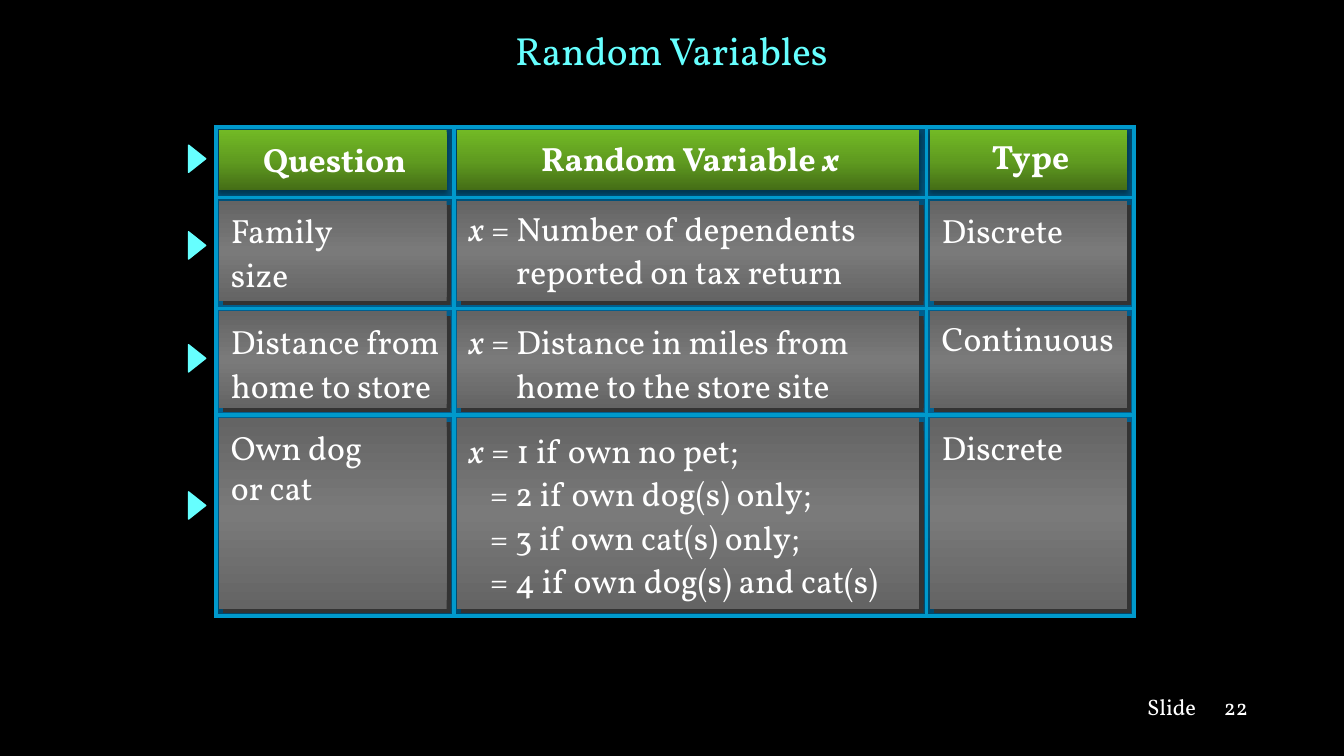
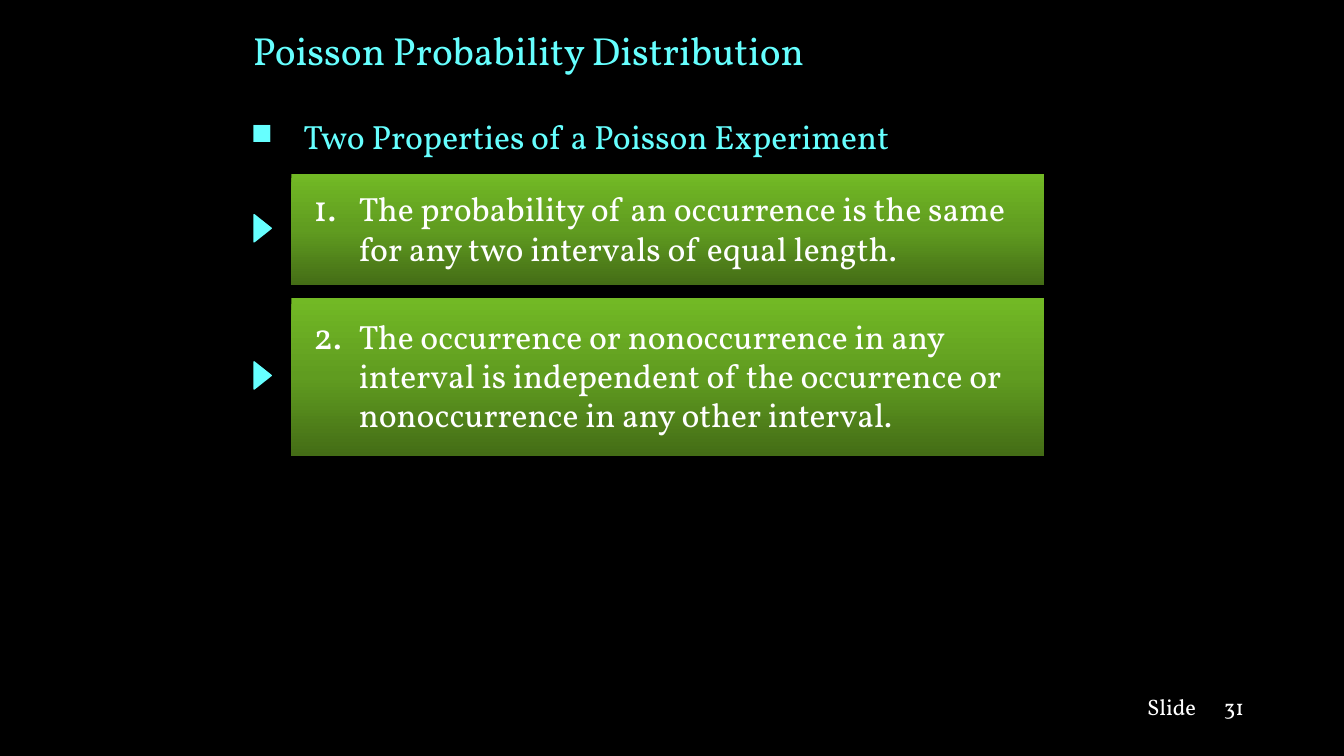
import itertools

import lxml.etree
import pptx
import pptx.dml.color
import pptx.enum.shapes
import pptx.enum.text
import pptx.oxml.ns
import pptx.util

Inches = pptx.util.Inches
Pt = pptx.util.Pt
RGBColor = pptx.dml.color.RGBColor
Align = pptx.enum.text.PP_ALIGN
Anchor = pptx.enum.text.MSO_ANCHOR
Shapes = pptx.enum.shapes.MSO_SHAPE
qn = pptx.oxml.ns.qn

# Shared look
FONT = "Vollkorn"
BLACK = RGBColor(0x00, 0x00, 0x00)
WHITE = RGBColor(0xFF, 0xFF, 0xFF)
CYAN = RGBColor(0x66, 0xFF, 0xFF)
GRID_BLUE = RGBColor(0x00, 0x99, 0xCC)
NAVY = RGBColor(0x00, 0x49, 0x6D)
BLUE = RGBColor(0x00, 0x66, 0x99)
DARK_GRAY = RGBColor(0x64, 0x64, 0x64)
GRAY = RGBColor(0x7A, 0x7A, 0x7A)
SHADOW_GRAY = RGBColor(0x33, 0x33, 0x33)
LIGHT_GREEN = RGBColor(0x72, 0xB9, 0x25)
GREEN = RGBColor(0x60, 0x9C, 0x20)
DARK_GREEN = RGBColor(0x44, 0x6D, 0x16)

# Gradients run from top to bottom
PANEL_FILL = (NAVY, BLUE, NAVY)
GRAY_FILL = (DARK_GRAY, GRAY, DARK_GRAY)
GREEN_FILL = (LIGHT_GREEN, GREEN, DARK_GREEN)

# Shadows: colour, opacity in percent, blur and distance in points, direction
GRAY_SHADOW = (SHADOW_GRAY, 100, 0, 4.2, 45)
GREEN_SHADOW = (BLACK, 32, 3.5, 2.2, 90)
MARKER_SHADOW = (BLACK, 100, 0, 1.4, 45)

# Table grid
COLUMN_EDGES = (2.14, 4.5, 9.19, 11.25)
ROW_EDGES = (1.26, 1.96, 3.06, 4.12, 6.11)
TILE_OFFSET = 0.03
TILE_GAP = 0.1

# Rows of cells: top margin, line spacing, paragraphs as (text, indent)
TABLE_ROWS = (
    ((0.14, 1, [("Question", 0)]),
     (0.13, 1, [("Random Variable *x*", 0)]),
     (0.11, 1, [("Type", 0)])),
    ((0.14, 0.95, [("Family", 0), ("size", 0)]),
     (0.12, 0.93, [("*x* = Number of dependents", 0),
                   ("reported on tax return", 0.47)]),
     (0.14, 1, [("Discrete", 0)])),
    ((0.14, 0.95, [("Distance from", 0), ("home to store", 0)]),
     (0.14, 0.95, [("*x* = Distance in miles from", 0),
                   ("home to the store site", 0.47)]),
     (0.11, 1, [("Continuous", 0)])),
    ((0.13, 0.87, [("Own dog", 0), ("or cat", 0)]),
     (0.16, 0.93, [("*x* = 1 if own no pet;", 0),
                   ("= 2 if own dog(s) only;", 0.21),
                   ("= 3 if own cat(s) only;", 0.21),
                   ("= 4 if own dog(s) and cat(s)", 0.21)]),
     (0.13, 1, [("Discrete", 0)])),
)


def add_element(parent, tag, **attributes):
    """Append a DrawingML element to parent."""
    values = {name: str(value) for name, value in attributes.items()}
    return lxml.etree.SubElement(parent, qn(tag), values)


def write_text(frame, paragraphs, size=24, color=WHITE, bold=False,
               align=Align.LEFT, anchor=Anchor.TOP, spacing=1,
               hanging=0, bullet=None):
    """Fill a text frame; *stars* mark italics, bullet is (tag, size, attributes)."""
    frame.word_wrap = True
    frame.vertical_anchor = anchor
    for index, (text, indent) in enumerate(paragraphs):
        paragraph = frame.paragraphs[0] if index == 0 else frame.add_paragraph()
        properties = paragraph._p.get_or_add_pPr()
        properties.set("marL", str(Inches(indent)))
        properties.set("indent", str(Inches(-hanging)))
        if bullet:
            tag, bullet_size, attributes = bullet
            bullet_color = add_element(properties, "a:buClr")
            add_element(bullet_color, "a:srgbClr", val=color)
            add_element(properties, "a:buSzPct", val=bullet_size * 1000)
            add_element(properties, "a:buFont", typeface=FONT)
            add_element(properties, tag, **attributes)
        paragraph.alignment = align
        paragraph.line_spacing = spacing
        for part, words in enumerate(text.split("*")):
            if words:
                run = paragraph.add_run()
                run.text = words
                run.font.name = FONT
                run.font.size = Pt(size)
                run.font.bold = bold
                run.font.italic = part % 2 == 1
                run.font.color.rgb = color


def add_text(slide, left, top, width, height, text, indent=0, **text_format):
    box = slide.shapes.add_textbox(Inches(left), Inches(top),
                                   Inches(width), Inches(height))
    write_text(box.text_frame, [(text, indent)], **text_format)


def set_shadow(shape, shadow):
    shape.shadow.inherit = False
    if shadow:
        color, opacity, blur, distance, direction = shadow
        effects = shape.element.spPr.find(qn("a:effectLst"))
        outer = add_element(effects, "a:outerShdw", blurRad=Pt(blur),
                            dist=Pt(distance), dir=direction * 60000,
                            algn="ctr", rotWithShape=0)
        shade = add_element(outer, "a:srgbClr", val=color)
        add_element(shade, "a:alpha", val=opacity * 1000)


def add_gradient_box(slide, left, top, width, height, colors,
                     shadow=None, line=None):
    shape = slide.shapes.add_shape(Shapes.RECTANGLE, Inches(left), Inches(top),
                                   Inches(width), Inches(height))
    shape.fill.gradient()
    shape.fill.gradient_angle = 270
    stops = shape.element.spPr.find(".//" + qn("a:gsLst"))
    for stop in list(stops):
        stops.remove(stop)
    for position, color in zip((0, 50000, 100000), colors):
        stop = add_element(stops, "a:gs", pos=position)
        add_element(stop, "a:srgbClr", val=color)
    if line:
        shape.line.color.rgb = line
        shape.line.width = Pt(3)
    else:
        shape.line.fill.background()
    set_shadow(shape, shadow)
    return shape


def add_marker(slide, left, top):
    """Triangle pointing right."""
    marker = slide.shapes.add_shape(Shapes.ISOSCELES_TRIANGLE, Inches(left),
                                    Inches(top), Inches(0.27), Inches(0.17))
    marker.rotation = 90
    marker.fill.solid()
    marker.fill.fore_color.rgb = CYAN
    marker.line.color.rgb = CYAN
    marker.line.width = Pt(1)
    set_shadow(marker, MARKER_SHADOW)


def set_borders(cell):
    properties = cell._tc.get_or_add_tcPr()
    for side in ("a:lnL", "a:lnR", "a:lnT", "a:lnB"):
        border = add_element(properties, side, w=Pt(3))
        fill = add_element(border, "a:solidFill")
        add_element(fill, "a:srgbClr", val=GRID_BLUE)


def add_tiles(slide):
    """Shaded panel and tiles that lie behind the table."""
    left, top = COLUMN_EDGES[0], ROW_EDGES[0]
    add_gradient_box(slide, left, top, COLUMN_EDGES[-1] - left,
                     ROW_EDGES[-1] - top, PANEL_FILL, line=GRID_BLUE)
    for row, (top, bottom) in enumerate(itertools.pairwise(ROW_EDGES)):
        colors, shadow = ((GRAY_FILL, GRAY_SHADOW) if row
                          else (GREEN_FILL, GREEN_SHADOW))
        for left, right in itertools.pairwise(COLUMN_EDGES):
            add_gradient_box(slide, left + TILE_OFFSET, top + TILE_OFFSET,
                             right - left - TILE_GAP, bottom - top - TILE_GAP,
                             colors, shadow)


def add_variable_table(slide):
    left, top = COLUMN_EDGES[0], ROW_EDGES[0]
    frame = slide.shapes.add_table(
        len(TABLE_ROWS), len(TABLE_ROWS[0]), Inches(left), Inches(top),
        Inches(COLUMN_EDGES[-1] - left), Inches(ROW_EDGES[-1] - top))
    table = frame.table
    table.first_row = table.horz_banding = False
    style = next(frame.element.iter(qn("a:tableStyleId")))
    style.text = "{2D5ABB26-0587-4C30-8999-92F81FD0307C}"  # no style, no grid
    for column, (start, end) in zip(table.columns,
                                    itertools.pairwise(COLUMN_EDGES)):
        column.width = Inches(end - start)
    for row, (start, end) in zip(table.rows, itertools.pairwise(ROW_EDGES)):
        row.height = Inches(end - start)
    for row, cells in enumerate(TABLE_ROWS):
        header = row == 0
        for column, (margin, spacing, paragraphs) in enumerate(cells):
            cell = table.cell(row, column)
            cell.margin_left = Inches(0 if header else 0.15)
            cell.margin_right = cell.margin_bottom = 0
            cell.margin_top = Inches(margin)
            cell.vertical_anchor = Anchor.TOP
            set_borders(cell)
            cell.fill.background()
            write_text(cell.text_frame, paragraphs, bold=header,
                       align=Align.CENTER if header else Align.LEFT,
                       spacing=spacing)


def add_slide(presentation, title, number, align=Align.LEFT):
    """Blank slide with the shared title and footer."""
    slide = presentation.slides.add_slide(presentation.slide_layouts[6])
    add_text(slide, 2.41, 0.06, 8.5, 0.87, title, size=28, color=CYAN,
             align=align, anchor=Anchor.MIDDLE)
    add_text(slide, 11.28, 6.83, 0.8, 0.37, "Slide", size=16)
    add_text(slide, 12.04, 6.83, 0.6, 0.37, number, size=16)
    return slide


def build_random_variables(presentation):
    slide = add_slide(presentation, "Random Variables", "22", Align.CENTER)
    add_tiles(slide)
    add_variable_table(slide)
    for top in (1.49, 2.35, 3.47, 4.93):
        add_marker(slide, 1.82, top)


def build_poisson(presentation):
    slide = add_slide(presentation, "Poisson Probability Distribution", "31")
    add_text(slide, 2.41, 1.1, 8.5, 0.55,
             "Two Properties of a Poisson Experiment", indent=0.5, hanging=0.5,
             color=CYAN, bullet=("a:buChar", 75, {"char": "■"}))
    # Numbered properties
    properties = (
        (1.73, 1.1, 2.18, "The probability of an occurrence is the same "
                          "for any two intervals of equal length."),
        (2.96, 1.56, 3.64, "The occurrence or nonoccurrence in any "
                           "interval is independent of the occurrence or "
                           "nonoccurrence in any other interval."),
    )
    for number, (top, height, marker_top, text) in enumerate(properties, 1):
        box = add_gradient_box(slide, 2.89, top, 7.47, height,
                               GREEN_FILL, GREEN_SHADOW)
        numbering = {"type": "arabicPeriod", "startAt": number}
        write_text(box.text_frame, [(text, 0.57)], hanging=0.45, spacing=0.97,
                   anchor=Anchor.MIDDLE,
                   bullet=("a:buAutoNum", 110, numbering))
        add_marker(slide, 2.47, marker_top)


def main():
    presentation = pptx.Presentation()
    presentation.slide_width = Inches(13.33)
    presentation.slide_height = Inches(7.5)
    background = presentation.slide_master.background.fill
    background.solid()
    background.fore_color.rgb = BLACK
    build_random_variables(presentation)
    build_poisson(presentation)
    presentation.save("out.pptx")


if __name__ == "__main__":
    main()
